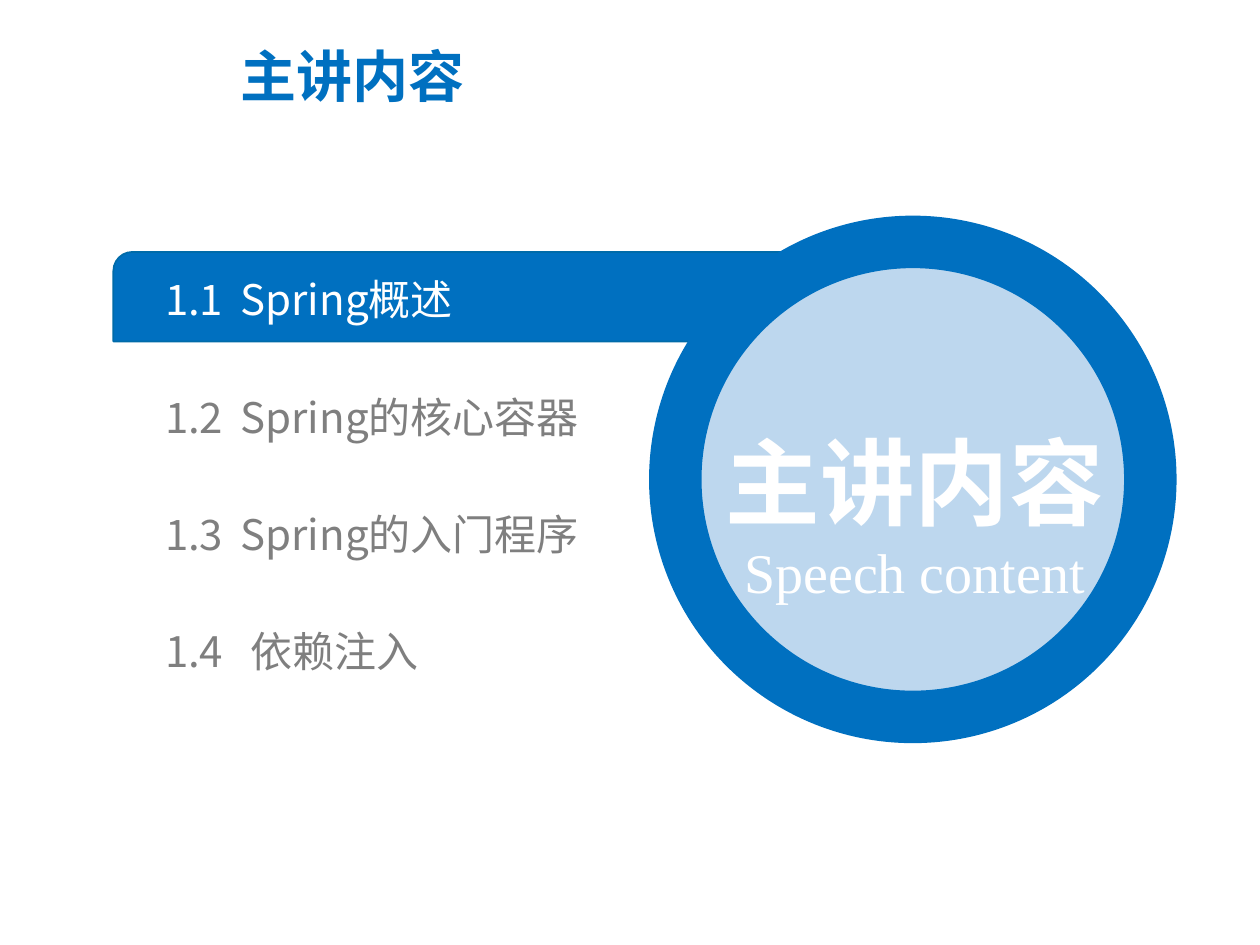
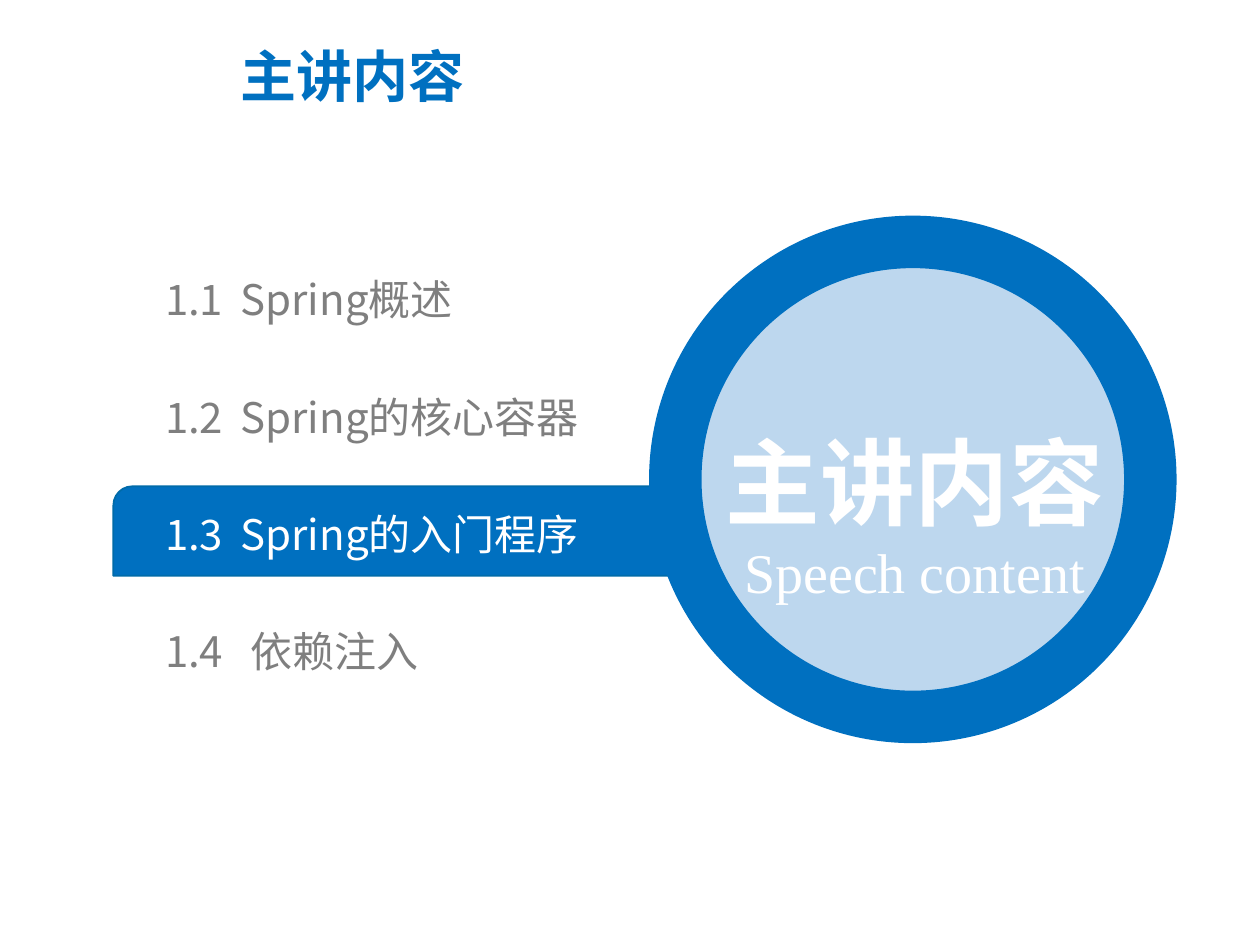
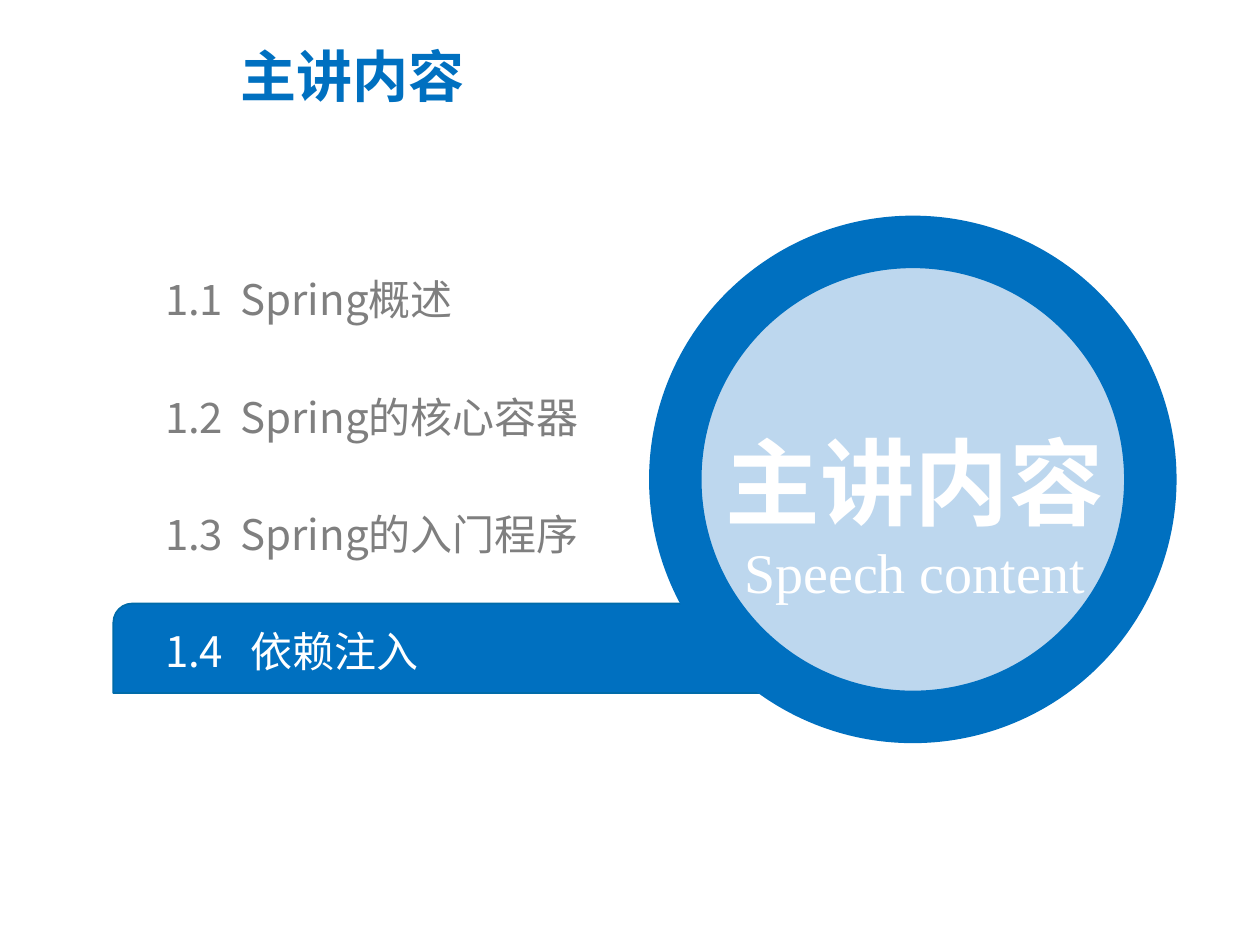
import pptx
import pptx.util
from lxml import etree
from pptx.dml.color import RGBColor
from pptx.enum.shapes import MSO_SHAPE
from pptx.enum.text import MSO_ANCHOR, MSO_AUTO_SIZE, PP_ALIGN
from pptx.oxml.ns import qn
from pptx.util import Inches

BLUE = RGBColor(0x00, 0x70, 0xC0)
BAND_EDGE = RGBColor(0x00, 0x6B, 0xA9)
PALE_BLUE = RGBColor(0xBD, 0xD7, 0xEE)
GREY = RGBColor(0x7F, 0x7F, 0x7F)
WHITE = RGBColor(0xFF, 0xFF, 0xFF)

CHINESE_FONT = "Noto Sans CJK SC"
LATIN_FONT = "Times New Roman"

HEADING = "主讲内容"
# Number, topic, and the tab stop in inches at which the topic starts
TOPICS = [
    ("1.1", "Spring概述", 0.6),
    ("1.2", "Spring的核心容器", 0.6),
    ("1.3", "Spring的入门程序", 0.6),
    ("1.4", "依赖注入", 0.68),
]
ACTIVE_TOPICS = ["1.1", "1.3", "1.4"]

FIRST_BAND_TOP = 2.0
TOPIC_PITCH = 0.93
BAND_HEIGHT = 0.71
BAND_CORNER = 0.15
TOPIC_HEIGHT = 0.4


def write(paragraph, text, *, size, color, font=CHINESE_FONT, bold=False,
          align=PP_ALIGN.LEFT, line_spacing=None, tab_stop=None):
    """Put formatted text into a paragraph."""
    paragraph.alignment = align
    if line_spacing:
        paragraph.line_spacing = line_spacing
    if tab_stop:
        tab_list = etree.SubElement(paragraph._p.get_or_add_pPr(), qn("a:tabLst"))
        etree.SubElement(tab_list, qn("a:tab"), pos=str(Inches(tab_stop)), algn="l")
    run = paragraph.add_run()
    run.text = text
    run.font.size = pptx.util.Pt(size)
    run.font.bold = bold
    run.font.name = font
    run.font.color.rgb = color
    etree.SubElement(run.font._element, qn("a:ea"), typeface=font)


def add_text_frame(slide, left, top, width, height, *, anchor=MSO_ANCHOR.TOP,
                   grow=False, margins=True):
    """Add a wrapping text box and return its text frame."""
    box = slide.shapes.add_textbox(Inches(left), Inches(top), Inches(width), Inches(height))
    frame = box.text_frame
    frame.word_wrap = True
    frame.vertical_anchor = anchor
    if grow:
        frame.auto_size = MSO_AUTO_SIZE.SHAPE_TO_FIT_TEXT
    if not margins:
        frame.margin_left = frame.margin_right = 0
        frame.margin_top = frame.margin_bottom = 0
    return frame


def add_filled_shape(slide, kind, left, top, width, height, *, fill, line, line_width):
    shape = slide.shapes.add_shape(
        kind, Inches(left), Inches(top), Inches(width), Inches(height))
    shape.shadow.inherit = False
    shape.fill.solid()
    shape.fill.fore_color.rgb = fill
    shape.line.color.rgb = line
    shape.line.width = pptx.util.Pt(line_width)
    return shape


def add_title(slide):
    frame = add_text_frame(slide, 1.81, 0.34, 6.15, 0.85)
    write(frame.paragraphs[0], HEADING, size=32, color=BLUE, bold=True, line_spacing=0.9)


def add_band(slide, top):
    """Add the bar behind the active topic."""
    band = add_filled_shape(slide, MSO_SHAPE.ROUND_2_DIAG_RECTANGLE,
                            0.9, top, 6.26, BAND_HEIGHT,
                            fill=BLUE, line=BAND_EDGE, line_width=1)
    band.adjustments[0] = BAND_CORNER / BAND_HEIGHT


def add_circle(slide):
    add_filled_shape(slide, MSO_SHAPE.OVAL, 5.36, 1.92, 3.77, 3.77,
                     fill=PALE_BLUE, line=BLUE, line_width=30)
    frame = add_text_frame(slide, 5.31, 2.86, 3.9, 1.99,
                           anchor=MSO_ANCHOR.MIDDLE, grow=True)
    write(frame.paragraphs[0], HEADING, size=54, color=WHITE, bold=True,
          align=PP_ALIGN.CENTER, line_spacing=1.5)
    write(frame.add_paragraph(), "Speech content", size=32, color=WHITE,
          font=LATIN_FONT, align=PP_ALIGN.CENTER)


def add_topic(slide, band_top, number, topic, tab_stop, color):
    top = band_top + (BAND_HEIGHT - TOPIC_HEIGHT) / 2 + 0.02
    frame = add_text_frame(slide, 1.31, top, 4.62, TOPIC_HEIGHT,
                           anchor=MSO_ANCHOR.MIDDLE, grow=True, margins=False)
    write(frame.paragraphs[0], f"{number}\t{topic}", size=24, color=color,
          tab_stop=tab_stop)


def add_agenda_slide(presentation, active_number):
    slide = presentation.slides.add_slide(presentation.slide_layouts[6])
    band_tops = {number: FIRST_BAND_TOP + index * TOPIC_PITCH
                 for index, (number, _, _) in enumerate(TOPICS)}
    add_title(slide)
    add_band(slide, band_tops[active_number])
    add_circle(slide)
    for number, topic, tab_stop in TOPICS:
        color = WHITE if number == active_number else GREY
        add_topic(slide, band_tops[number], number, topic, tab_stop, color)


def main():
    presentation = pptx.Presentation()
    presentation.slide_width = Inches(10)
    presentation.slide_height = Inches(7.5)
    for active_number in ACTIVE_TOPICS:
        add_agenda_slide(presentation, active_number)
    presentation.save("out.pptx")


if __name__ == "__main__":
    main()
